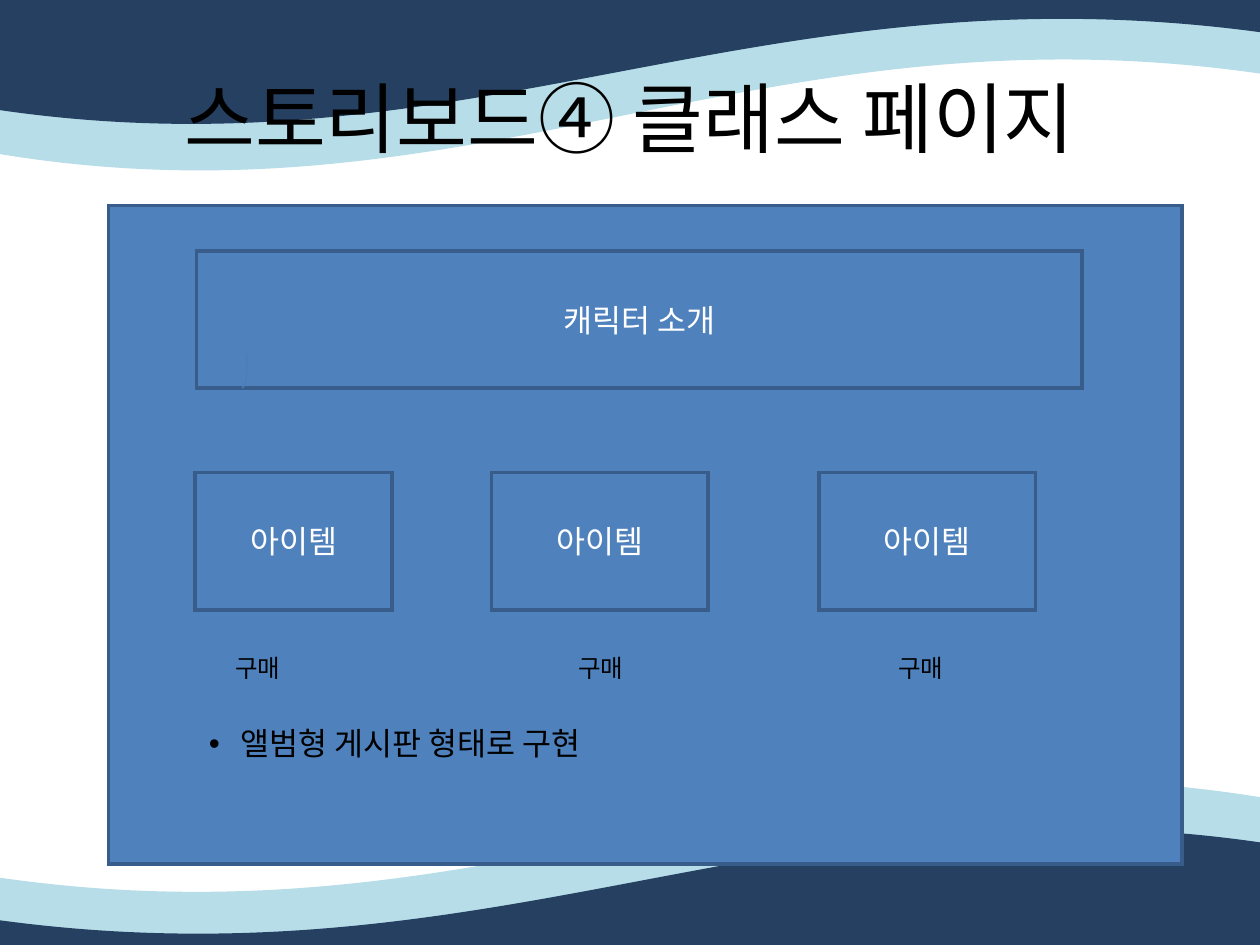
"""Build the class page storyboard slide with its wave background."""
from lxml import etree
from pptx import Presentation
from pptx.dml.color import RGBColor
from pptx.enum import shapes, text
from pptx.oxml import ns
from pptx.util import Inches, Pt

NAVY = RGBColor(0x25, 0x40, 0x61)
AQUA = RGBColor(0xB7, 0xDE, 0xE8)
BLUE = RGBColor(0x4F, 0x81, 0xBD)
EDGE = RGBColor(0x38, 0x5D, 0x8A)
STROKE = RGBColor(0x4A, 0x7E, 0xBB)
BLACK = RGBColor(0, 0, 0)
WHITE = RGBColor(0xFF, 0xFF, 0xFF)


def add_outline(s, box, start, segments, close=True):
    x, y, w, h = [Inches(v) for v in box]
    points = [start] + [seg[i:i + 2] for seg in segments for i in range(0, len(seg), 2)]
    points = [(Inches(px), Inches(py)) for px, py in points]
    fb = s.shapes.build_freeform(*points[0])
    fb.add_line_segments(points[1:], close=close)
    sp = fb.convert_to_shape()
    sp.shadow.inherit = False
    sp.left, sp.top, sp.width, sp.height = x, y, w, h
    outline = sp._element.find(".//" + ns.qn("a:path"))
    outline.set("w", str(w))
    outline.set("h", str(h))
    for pt, (px, py) in zip(outline.iter(ns.qn("a:pt")), points):
        pt.set("x", str(px - x))
        pt.set("y", str(py - y))
    lines = iter(outline.findall(ns.qn("a:lnTo")))
    for seg in segments:
        first = next(lines)
        if len(seg) == 6:
            curve = etree.Element(ns.qn("a:cubicBezTo"))
            first.addprevious(curve)
            for line in (first, next(lines), next(lines)):
                curve.append(line[0])
                outline.remove(line)
    return sp


def write(sp, words, size, color, font="Calibri", align=text.PP_ALIGN.LEFT):
    tf = sp.text_frame
    tf.word_wrap = True
    tf.text = words
    p = tf.paragraphs[0]
    p.alignment = align
    r = p.runs[0]
    r.font.size = Pt(size)
    r.font.color.rgb = color
    r.font.name = font
    return p


prs = Presentation()
prs.slide_width, prs.slide_height = Inches(10), Inches(7.5)
s = prs.slides.add_slide(prs.slide_layouts[6])

waves = [
    (AQUA, (-0.04, -0.03, 10.08, 1.38), 6.2, (3.58, -0.03),
     [(6.09, -0.03, 9, -0.02, 10.04, 0), (10.04, 0.59), (6.03, 0, 3.78, 1.85, -0.02, 1.22),
      (-0.04, -0.01), (0.65, -0.02, 2.04, -0.03, 3.58, -0.03)]),
    (NAVY, (-0.03, -0.05, 10.06, 1.04), 6.57, (1.55, -0.05),
     [(10, -0.01), (10, 0.06, 10.03, 0.19, 10.03, 0.26),
      (6.02, -0.29, 3.77, 1.43, -0.03, 0.87), (-0.03, -0.01), (1.55, -0.05)]),
]
for rotation in (180, 0):
    for color, box, bottom, start, segments in waves:
        sp = add_outline(s, box, start, segments)
        sp.fill.solid()
        sp.fill.fore_color.rgb = color
        sp.line.fill.background()
        if rotation:
            sp.top = Inches(bottom)
            sp.rotation = rotation

title = s.shapes.add_textbox(Inches(0.5), Inches(0.3), Inches(9), Inches(1.25))
title.text_frame.vertical_anchor = text.MSO_ANCHOR.MIDDLE
write(title, "스토리보드④ 클래스 페이지", 44, BLACK, "Noto Sans CJK KR", text.PP_ALIGN.CENTER)

boxes = [
    (0.86, 1.63, 8.52, 5.23, ""),
    (1.56, 1.99, 7.03, 1.09, "캐릭터 소개"),
    (3.9, 3.75, 1.72, 1.09, "아이템"),
    (6.5, 3.75, 1.72, 1.09, "아이템"),
    (1.55, 3.75, 1.56, 1.09, "아이템"),
]
for x, y, w, h, words in boxes:
    sp = s.shapes.add_shape(shapes.MSO_SHAPE.RECTANGLE, Inches(x), Inches(y), Inches(w), Inches(h))
    sp.shadow.inherit = False
    sp.fill.solid()
    sp.fill.fore_color.rgb = BLUE
    sp.line.color.rgb = EDGE
    sp.line.width = Pt(2)
    etree.SubElement(sp.line._get_or_add_ln(), ns.qn("a:miter"), lim="800000")
    if words:
        sp.text_frame.vertical_anchor = text.MSO_ANCHOR.MIDDLE
        write(sp, words, 18, WHITE, align=text.PP_ALIGN.CENTER)

notes = [
    (1.77, 5.13, 1.56, 0.34, "구매", 14),
    (1.56, 5.7, 7.03, 0.4, "앨범형 게시판 형태로 구현", 18),
    (4.49, 5.13, 1.56, 0.34, "구매", 14),
    (7.03, 5.13, 1.56, 0.34, "구매", 14),
]
for x, y, w, h, words, size in notes:
    sp = s.shapes.add_textbox(Inches(x), Inches(y), Inches(w), Inches(h))
    p = write(sp, words, size, BLACK)
    sp.text_frame.auto_size = text.MSO_AUTO_SIZE.SHAPE_TO_FIT_TEXT
    if size == 18:
        pPr = p._p.get_or_add_pPr()
        pPr.set("marL", str(Inches(0.25)))
        pPr.set("indent", str(-Inches(0.25)))
        etree.SubElement(pPr, ns.qn("a:buFont"), typeface="Arial")
        etree.SubElement(pPr, ns.qn("a:buChar"), char="•")

tick = add_outline(s, (1.92, 2.81, 0.04, 0.27), (1.96, 2.81),
                   [(1.96, 2.88, 1.96, 2.96, 1.95, 3.03),
                    (1.95, 3.04, 1.95, 3.05, 1.94, 3.06),
                    (1.94, 3.07, 1.93, 3.07, 1.92, 3.08)], close=False)
tick.fill.background()
tick.line.color.rgb = STROKE
tick.line.width = Pt(0.75)

prs.save("out.pptx")
